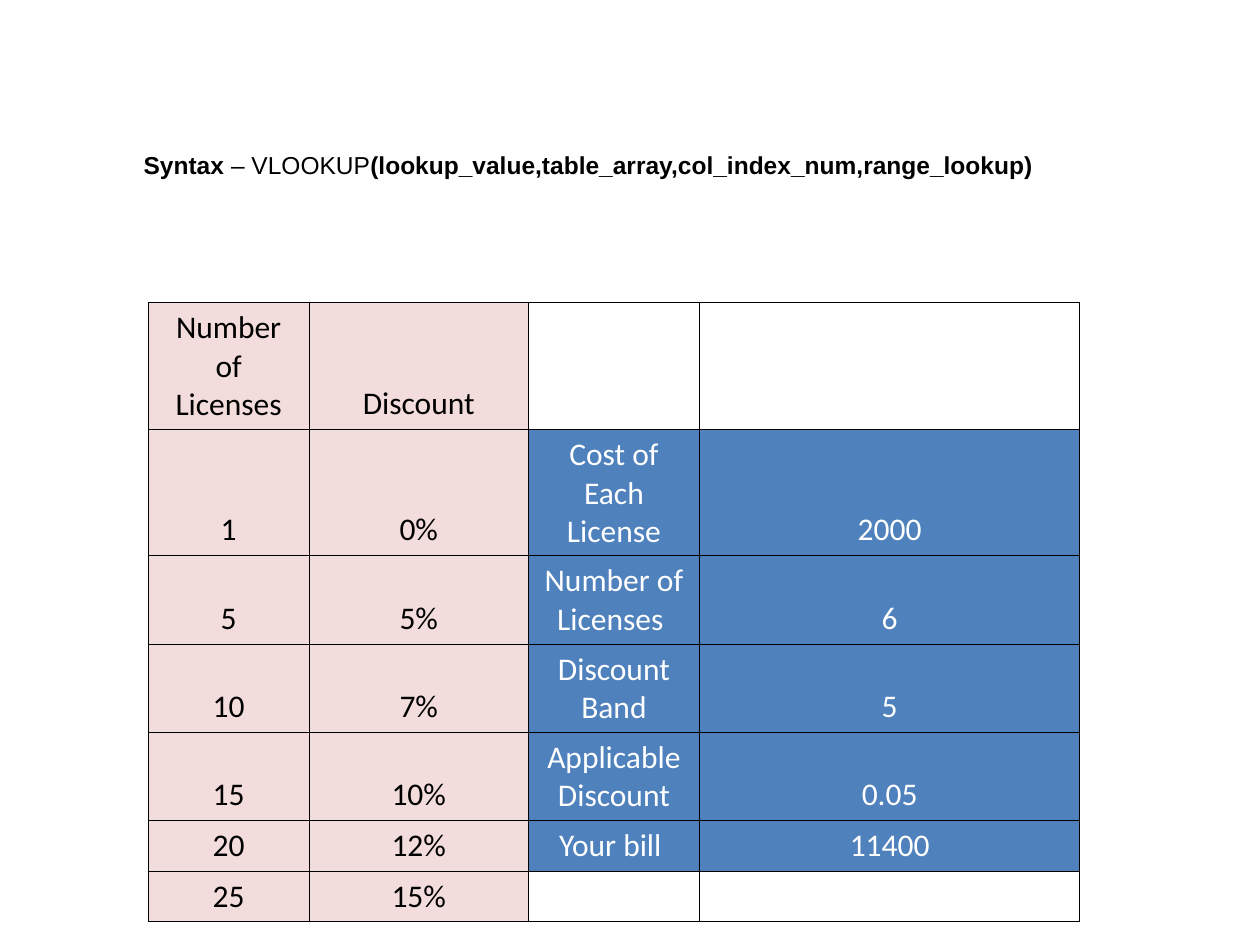
from lxml import etree
from pptx import Presentation
from pptx.dml.color import RGBColor
from pptx.enum.text import MSO_ANCHOR, PP_ALIGN
from pptx.oxml.ns import qn
from pptx.util import Inches, Pt

BOTTOM = MSO_ANCHOR.BOTTOM
CENTER = PP_ALIGN.CENTER
COLORS = {"ink": "000000", "white": "FFFFFF", "pink": "F2DDDC", "blue": "4F81BD"}
WIDE, HIGH = Inches(10), Inches(7.5)

SYNTAX = [
    ("Syntax ", True),
    ("– VLOOKUP", False),
    ("(lookup_value,table_array,col_index_num,range_lookup)", True),
]
ROWS = [
    ("Number of Licenses", "Discount", "", ""),
    ("1", "0%", "Cost of Each License", "2000"),
    ("5", "5%", "Number of Licenses ", "6"),
    ("10", "7%", "Discount Band", "5"),
    ("15", "10%", "Applicable Discount", "0.05"),
    ("20", "12%", "Your bill ", "11400"),
    ("25", "15%", "", ""),
]
COL_PARTS = [1.28, 1.74, 1.36, 3.02]
ROW_PARTS = [1.01, 0.6, 0.6, 0.6, 0.6, 0.34, 0.33]


def color(name):
    return RGBColor.from_string(COLORS[name])


def area(left, top, width, height):
    """Turn percentages of the slide into a box."""
    return (int(WIDE * left / 100), int(HIGH * top / 100),
            int(WIDE * width / 100), int(HIGH * height / 100))


def style(run, font, size, tint, bold=False):
    run.font.name = font
    run.font.size = Pt(size)
    run.font.bold = bold
    run.font.color.rgb = color(tint)


def add_syntax(slide, box):
    frame = slide.shapes.add_textbox(*box).text_frame
    frame.word_wrap = True
    frame.margin_left = frame.margin_right = 0
    frame.margin_top = frame.margin_bottom = 0
    para = frame.paragraphs[0]
    para.space_after = Pt(12)
    props = para._p.get_or_add_pPr()
    props.set("marL", str(Inches(0.25)))
    props.set("indent", str(-Inches(0.25)))
    for text, bold in SYNTAX:
        run = para.add_run()
        run.text = text
        style(run, "Arial", 14, "ink", bold)


def add_border(cell):
    props = cell._tc.get_or_add_tcPr()
    for spot, side in enumerate(("a:lnL", "a:lnR", "a:lnT", "a:lnB")):
        line = etree.Element(qn(side), w=str(Pt(0.45)))
        fill = etree.SubElement(line, qn("a:solidFill"))
        etree.SubElement(fill, qn("a:srgbClr"), val=COLORS["ink"])
        props.insert(spot, line)


def fill_cell(cell, text, back, tint):
    cell.vertical_anchor = BOTTOM
    if text:
        cell.fill.solid()
        cell.fill.fore_color.rgb = color(back)
        para = cell.text_frame.paragraphs[0]
        para.text = text
        para.alignment = CENTER
        style(para.runs[0], "Calibri", 18, tint)
    else:
        cell.fill.background()
    add_border(cell)


def add_grid(slide, box):
    width, height = box[2:]
    table = slide.shapes.add_table(len(ROWS), len(COL_PARTS), *box).table
    table.first_row = table.horz_banding = False
    for col, part in zip(table.columns, COL_PARTS):
        col.width = int(width * part / sum(COL_PARTS))
    for row, part in zip(table.rows, ROW_PARTS):
        row.height = int(height * part / sum(ROW_PARTS))
    for r, texts in enumerate(ROWS):
        for c, text in enumerate(texts):
            back, tint = ("pink", "ink") if c < 2 else ("blue", "white")
            fill_cell(table.cell(r, c), text, back, tint)


def main():
    deck = Presentation()
    deck.slide_width, deck.slide_height = WIDE, HIGH
    slide = deck.slides.add_slide(deck.slide_layouts[6])
    add_syntax(slide, area(11.4, 15.87, 73.4, 3.2))
    add_grid(slide, area(11.75, 32, 73.95, 54.4))
    deck.save("out.pptx")


if __name__ == "__main__":
    main()
